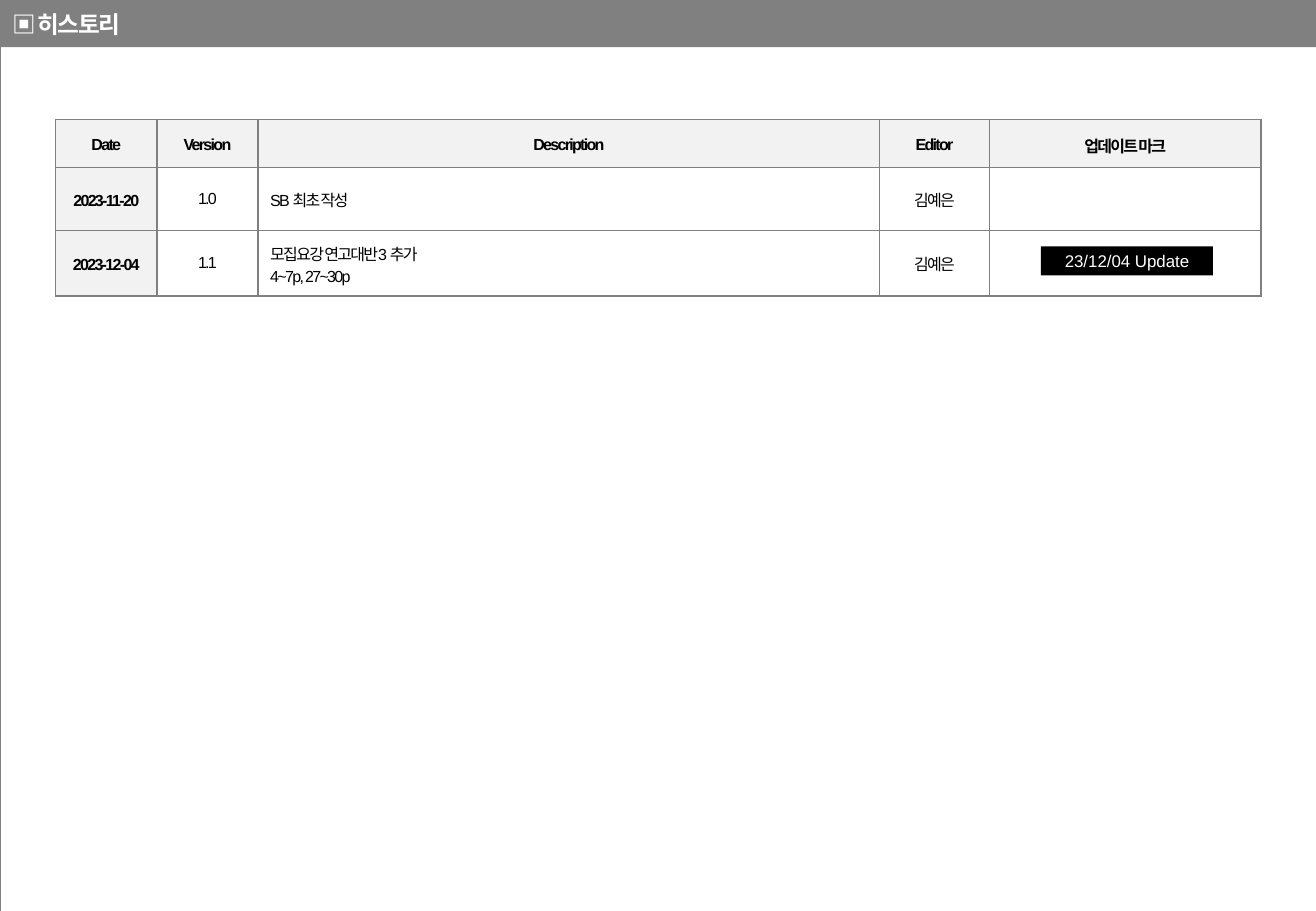
import pptx
import pptx.dml.color
import pptx.enum.shapes
import pptx.enum.text
import pptx.oxml
import pptx.oxml.ns
import pptx.util
from lxml import etree

Pt = pptx.util.Pt
ALIGN = pptx.enum.text.PP_ALIGN
MIDDLE = pptx.enum.text.MSO_ANCHOR.MIDDLE
qn = pptx.oxml.ns.qn
COLORS = {"grey": "808080", "pale": "F2F2F2", "white": "FFFFFF", "black": "000000"}
KOREAN = "Noto Sans CJK KR"


def write(p, text, align, spacing, color, **font):
    """Put one formatted run into a paragraph."""
    p.alignment = align
    r = p.add_run()
    r.text = text
    for key, value in font.items():
        setattr(r.font, key, value)
    r.font.color.rgb = pptx.dml.color.RGBColor.from_string(COLORS[color])
    rPr = r._r.get_or_add_rPr()
    rPr.set("spc", str(spacing * 100))
    etree.SubElement(rPr, qn("a:ea")).set("typeface", KOREAN)


def style_cell(cell, width, fill=None):
    """Give a cell grey borders and a fill."""
    tcPr = cell._tc.get_or_add_tcPr()
    for side in ("lnL", "lnR", "lnT", "lnB"):
        ln = etree.SubElement(tcPr, qn("a:" + side), w=str(Pt(width)))
        line_fill = etree.SubElement(ln, qn("a:solidFill"))
        etree.SubElement(line_fill, qn("a:srgbClr"), val=COLORS["grey"])
    if fill:
        cell.fill.solid()
        cell.fill.fore_color.rgb = pptx.dml.color.RGBColor.from_string(COLORS[fill])
    else:
        cell.fill.background()


prs = pptx.Presentation()
prs.slide_width, prs.slide_height = Pt(780), Pt(540)
s = prs.slides.add_slide(prs.slide_layouts[5])

# Title bar and update mark
title = s.shapes.title
title.left, title.top, title.width, title.height = Pt(0), Pt(0), Pt(780), Pt(28)

# Page frame
frame = s.shapes.add_table(1, 1, Pt(0), Pt(0), Pt(780.5), Pt(540.5)).table
frame.first_row = frame.horz_banding = False
style_cell(frame.cell(0, 0), 0.25)

# History table
widths = [60, 60, 368.5, 65, 161]
heights = [28.5, 37.5, 37.5]
rows = [
    ["Date", "Version", "Description", "Editor", "업데이트 마크"],
    ["2023-11-20", "1.0", "SB 최초 작성", "김예은", ""],
    ["2023-12-04", "1.1", "모집요강 연고대반3 추가\n4~7p, 27~30p", "김예은", ""],
]
history = s.shapes.add_table(len(rows), len(widths), Pt(33), Pt(70.75),
                             Pt(sum(widths)), Pt(sum(heights))).table
history.first_row = history.horz_banding = False
for column, width in zip(history.columns, widths):
    column.width = Pt(width)
for i, row in enumerate(rows):
    history.rows[i].height = Pt(heights[i])
    for j, text in enumerate(row):
        cell = history.cell(i, j)
        header = i == 0 or j == 0
        style_cell(cell, 1, "pale" if header else "white")
        cell.vertical_anchor = MIDDLE
        if not header:
            cell.margin_bottom = Pt(5.75)
        tf = cell.text_frame
        for n, line in enumerate(text.split("\n") if text else []):
            p = tf.add_paragraph() if n else tf.paragraphs[0]
            p.line_spacing = 1.2
            align = ALIGN.LEFT if i and j == 2 else ALIGN.CENTER
            write(p, line, align, -1, "black", name="Arial", size=Pt(9.5), bold=header)

# Text of the title bar and the update mark
mark = s.shapes.add_shape(pptx.enum.shapes.MSO_SHAPE.RECTANGLE,
                          Pt(617), Pt(146), Pt(102), Pt(17.25))
mark.shadow.inherit = False
mark.line.fill.background()
for sp, fill, text, align, spacing, font in (
    (title, "grey", "▣ 히스토리", ALIGN.LEFT, -1,
     {"name": KOREAN, "size": Pt(14), "bold": True}),
    (mark, "black", "23/12/04 Update", ALIGN.CENTER, 0,
     {"name": "Arial", "size": Pt(10), "bold": False}),
):
    sp.fill.solid()
    sp.fill.fore_color.rgb = pptx.dml.color.RGBColor.from_string(COLORS[fill])
    tf = sp.text_frame
    tf.auto_size = pptx.enum.text.MSO_AUTO_SIZE.NONE
    tf.vertical_anchor = MIDDLE
    write(tf.paragraphs[0], text, align, spacing, "white", **font)

prs.save("out.pptx")
